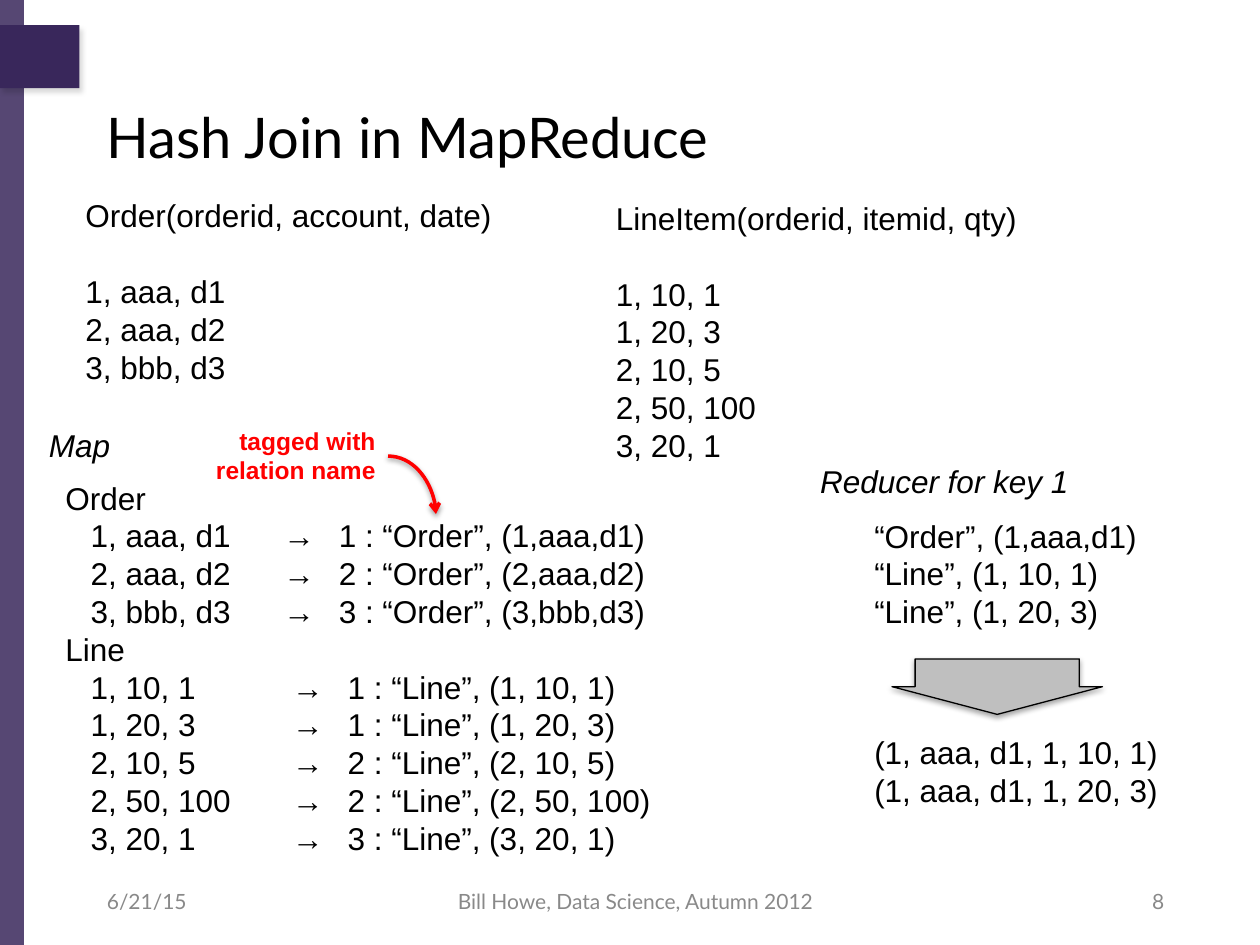
from lxml import etree
from pptx import Presentation
from pptx.dml.color import RGBColor
from pptx.enum.shapes import MSO_CONNECTOR, MSO_SHAPE
from pptx.enum.text import MSO_ANCHOR, PP_ALIGN
from pptx.oxml.ns import qn
from pptx.util import Inches, Pt

LEFT, CENTER, RIGHT = PP_ALIGN.LEFT, PP_ALIGN.CENTER, PP_ALIGN.RIGHT
TOP, MIDDLE = MSO_ANCHOR.TOP, MSO_ANCHOR.MIDDLE
RECTANGLE, DOWN_ARROW = MSO_SHAPE.RECTANGLE, MSO_SHAPE.DOWN_ARROW
CURVE = MSO_CONNECTOR.CURVE

PURPLE, RED, GRAY, FOOTER_GRAY, BLACK = "39275B", "FF0000", "BFBFBF", "898989", "000000"
LEADING = 1.2

prs = Presentation()
prs.slide_width, prs.slide_height = Inches(10), Inches(7.5)
COL = prs.slide_width / 100   # the slide is a grid of 100 columns
ROW = prs.slide_height / 75   # by 75 rows
slide = prs.slides.add_slide(prs.slide_layouts[6])


def write(text, col, row, cols, rows, size=18, font="Arial", color=BLACK, bold=False,
          italic=False, align=LEFT, anchor=TOP, wrap=True, leading=LEADING,
          header_gap=0, tabs=()):
    """Add a text box, one paragraph per line; each line may have its own tab stops."""
    box = slide.shapes.add_textbox(int(col * COL), int(row * ROW),
                                   int(cols * COL), int(rows * ROW))
    frame = box.text_frame
    frame.word_wrap, frame.vertical_anchor = wrap, anchor
    frame.text = text
    for paragraph in frame.paragraphs:
        paragraph.alignment = align
        if leading:
            paragraph.line_spacing = Pt(size * leading)
        for run in paragraph.runs:
            run.font.size, run.font.name = Pt(size), font
            run.font.bold, run.font.italic = bold, italic
            run.font.color.rgb = RGBColor.from_string(color)
    if header_gap:
        frame.paragraphs[0].space_after = Pt(header_gap)
    for paragraph, stops in zip(frame.paragraphs, tabs):
        tab_list = etree.SubElement(paragraph._p.get_or_add_pPr(), qn("a:tabLst"))
        for stop in stops:
            etree.SubElement(tab_list, qn("a:tab"), pos=str(int(stop * COL)), algn="l")


def paint(shape, fill=None, alpha=100, line=None, width=1, shadow=None):
    """shadow is (opacity %, blur pt, distance pt, direction in degrees)."""
    if fill:
        shape.fill.solid()
        shape.fill.fore_color.rgb = RGBColor.from_string(fill)
        if alpha < 100:
            tint = shape._element.spPr.find(".//" + qn("a:srgbClr"))
            etree.SubElement(tint, qn("a:alpha"), val=str(alpha * 1000))
    if line:
        shape.line.color.rgb = RGBColor.from_string(line)
        shape.line.width = Pt(width)
    else:
        shape.line.fill.background()
    effects = etree.SubElement(shape._element.spPr, qn("a:effectLst"))
    if shadow:
        opacity, blur, distance, direction = shadow
        outer = etree.SubElement(effects, qn("a:outerShdw"), blurRad=str(Pt(blur)),
                                 dist=str(Pt(distance)), dir=str(direction * 60000),
                                 rotWithShape="0")
        shade = etree.SubElement(outer, qn("a:srgbClr"), val=BLACK)
        etree.SubElement(shade, qn("a:alpha"), val=str(opacity * 1000))


# Side band and tab
for col, row, cols, rows, look in [
    (0, 0, 1.9, 75, {"alpha": 85}),
    (0, 2, 6.3, 5, {"shadow": (15, 3, 3, 60)}),
]:
    band = slide.shapes.add_shape(RECTANGLE, int(col * COL), int(row * ROW),
                                  int(cols * COL), int(rows * ROW))
    paint(band, fill=PURPLE, **look)

# Title and footer
write("Hash Join in MapReduce", 7.5, 5.8, 85.9, 10, size=32, font="Lato",
      anchor=MIDDLE, leading=None)
for text, col, cols, align in [
    ("6/21/15", 7.5, 23.3, LEFT),
    ("Bill Howe, Data Science, Autumn 2012", 34.6, 31.7, CENTER),
    ("8", 70.1, 23.3, RIGHT),
]:
    write(text, col, 69.5, cols, 4, size=12, font="Lato", color=FOOTER_GRAY,
          align=align, anchor=MIDDLE, leading=None)

# Input relations
orders = ["1, aaa, d1", "2, aaa, d2", "3, bbb, d3"]
line_items = ["1, 10, 1", "1, 20, 3", "2, 10, 5", "2, 50, 100", "3, 20, 1"]
for header, records, col, row, rows in [
    ("Order(orderid, account, date)", orders, 5.8, 15.1, 16.2),
    ("LineItem(orderid, itemid, qty)", line_items, 47.9, 15.3, 22.2),
]:
    write("\n".join([header] + records), col, row, 38.3, rows, header_gap=18 * LEADING)

# Map phase: each record becomes key : tag, (record)
write("tagged with relation name", 16, 33.3, 14.8, 5.7, size=14, color=RED,
      bold=True, align=RIGHT)
pointer = slide.shapes.add_connector(CURVE, int(30.8 * COL), int(36.2 * ROW),
                                     int(34.6 * COL), int(40.8 * ROW))
pointer._element.spPr.find(qn("a:prstGeom")).set("prst", "curvedConnector2")
paint(pointer, line=RED, width=2, shadow=(38, 3.1, 1.6, 90))
etree.SubElement(pointer.line._get_or_add_ln(), qn("a:tailEnd"), type="arrow")

map_lines, map_tabs = [], []
for tag, records, stops in [
    ("Order", [r.replace(" ", "") for r in orders], (2, 17.3, 21.7)),
    ("Line", line_items, (2, 18, 22.4)),
]:
    map_lines.append(tag)
    map_tabs.append(())
    for record in records:
        key = record[0]
        shown = record if tag == "Line" else record.replace(",", ", ")
        map_lines.append(f"\t{shown}\t→\t{key} : “{tag}”, ({record})")
        map_tabs.append(stops)
write("\n".join(map_lines), 4.2, 37.5, 64.2, 34.3, tabs=map_tabs)
write("Map", 2.9, 33.3, 11.9, 4.2, italic=True)

# Reduce phase
write("Reducer for key 1", 64.1, 36.2, 32.5, 4, italic=True)
write("“Order”, (1,aaa,d1)\n“Line”, (1, 10, 1)\n“Line”, (1, 20, 3)",
      68.4, 40.5, 23.8, 10.1, wrap=False)
write("(1, aaa, d1, 1, 10, 1)\n(1, aaa, d1, 1, 20, 3)", 68.4, 57.7, 28.2, 7.1)
reduce_arrow = slide.shapes.add_shape(DOWN_ARROW, int(70.8 * COL), int(52.3 * ROW),
                                      int(16.7 * COL), int(4.4 * ROW))
reduce_arrow.adjustments[0] = 0.78
reduce_arrow.adjustments[1] = 0.5
paint(reduce_arrow, fill=GRAY, line=BLACK, width=0.75, shadow=(35, 3.1, 1.8, 90))

prs.save("out.pptx")
